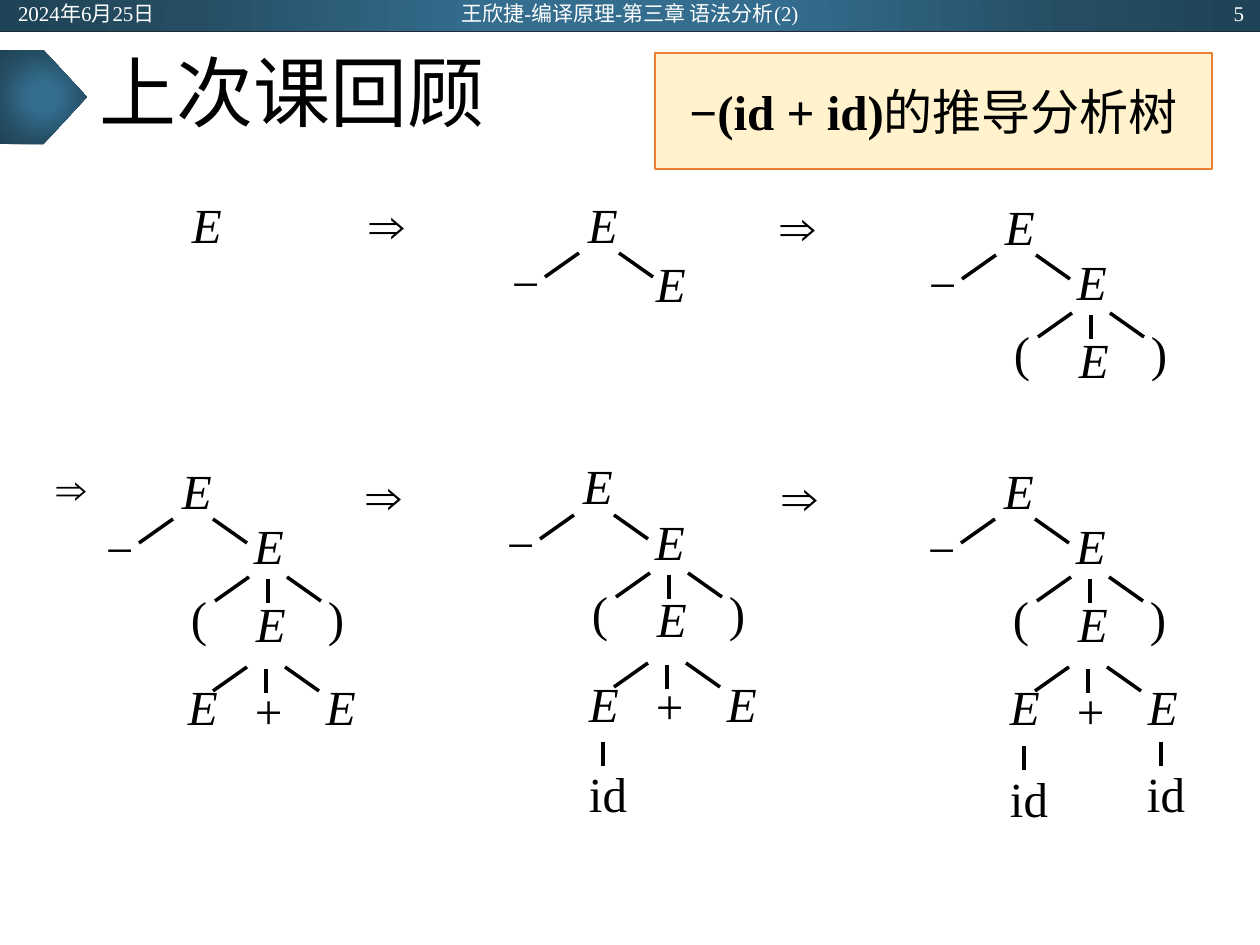
from pptx import Presentation
from pptx.dml.color import RGBColor as Rgb
from pptx.enum.shapes import MSO_CONNECTOR as Link, MSO_SHAPE as Form
from pptx.enum.text import MSO_ANCHOR as Anchor, PP_ALIGN as Align
from pptx.oxml import parse_xml
from pptx.oxml.ns import nsdecls
from pptx.util import Pt

SCALE = 914400 / 126
HUES = {"ink": "000000", "paper": "FFFFFF", "rule": "222A35",
        "cream": "FFF2CC", "orange": "ED7D31"}
BLUES = {0: "346D8E", 23: "346D8E", 69: "254E64", 97: "204457"}
FONT = "Times New Roman"


def px(num):
    return round(num * SCALE)


def put(item, **vals):
    for key, val in vals.items():
        setattr(item, key, val)


class Board:
    def __init__(self, deck):
        self.slide = deck.slides.add_slide(deck.slide_layouts[6])
        self.items = self.slide.shapes

    def label(self, shape, runs, size=28, hue="ink", align=Align.LEFT,
              anchor=Anchor.MIDDLE, pad=(13, 6), wrap=True, space=None):
        """Fill a shape with one paragraph of (text, font values) runs."""
        side, edge = (px(num) for num in pad)
        frame = shape.text_frame
        put(frame, word_wrap=wrap, vertical_anchor=anchor, margin_left=side,
            margin_right=side, margin_top=edge, margin_bottom=edge)
        para = frame.paragraphs[0]
        put(para, alignment=align, line_spacing=space)
        for words, looks in runs:
            run = para.add_run()
            run.text = words
            put(run.font, name=FONT, size=Pt(size), **looks)
            run.font.color.rgb = Rgb.from_string(HUES[hue])

    def text(self, box, words, **form):
        shape = self.items.add_textbox(*map(px, box))
        self.label(shape, [(words, {})], **form)

    def sign(self, x, y, mark, size=28):
        shape = self.items.add_textbox(*map(px, (x, y, 50, 67)))
        self.label(shape, [(mark, {"italic": mark == "E"})], size=size,
                   align=Align.JUSTIFY, anchor=Anchor.TOP, pad=(2, 1))

    def line(self, x1, y1, x2, y2, hue="ink", width=2):
        link = self.items.add_connector(Link.STRAIGHT, *map(px, (x1, y1, x2, y2)))
        link.line.width = Pt(width)
        link.line.color.rgb = Rgb.from_string(HUES[hue])
        link._element.spPr.append(parse_xml(f"<a:effectLst {nsdecls('a')}/>"))

    def shape(self, form, box):
        shape = self.items.add_shape(form, *map(px, box))
        shape.shadow.inherit = False
        return shape

    def glow(self, form, box):
        """A shape with a round gradient from its centre."""
        shape = self.shape(form, box)
        shape.line.fill.background()
        stops = "".join(f'<a:gs pos="{pos * 1000}"><a:srgbClr val="{hue}"/></a:gs>'
                        for pos, hue in BLUES.items())
        shape._element.spPr.insert(2, parse_xml(
            f'<a:gradFill {nsdecls("a")} rotWithShape="1"><a:gsLst>{stops}</a:gsLst>'
            '<a:path path="circle"><a:fillToRect l="50000" t="50000" '
            'r="50000" b="50000"/></a:path></a:gradFill>'))

    def panel(self, box, runs):
        shape = self.shape(Form.RECTANGLE, box)
        shape.fill.solid()
        shape.fill.fore_color.rgb = Rgb.from_string(HUES["cream"])
        shape.line.color.rgb = Rgb.from_string(HUES["orange"])
        shape.line.width = Pt(1)
        self.label(shape, runs, align=Align.CENTER, pad=(8, 4), wrap=False)

    def fork(self, x, y, gap, stem=True):
        """Two slanted branches about x, with a short stem between."""
        for side in (-1, 1):
            self.line(x + side * gap, y, x + side * (gap + 34), y + 24)
        if stem:
            self.stem(x, y + 2)

    def stem(self, x, y):
        self.line(x, y, x, y + 24)

    def tree(self, x, y, depth, leaves=(), child=(72, 55)):
        """Draw depth levels below the root, then stems down to the ids."""
        levels = [
            ((13, 60, 20, False), [(-76, 58, "−"), (*child, "E")]),
            ((88, 118, 19), [(9, 127, "("), (146, 127, ")"), (74, 133, "E")]),
            ((86, 208, 19), [(6, 217, "E"), (144, 217, "E"), (73, 220, "+")]),
        ]
        self.sign(x, y, "E")
        for (dx, dy, *rest), signs in levels[:depth]:
            self.fork(x + dx, y + dy, *rest)
            for sx, sy, mark in signs:
                self.sign(x + sx, y + sy, mark)
        for dx, dy in leaves:
            self.stem(x + dx, y + dy)
            self.sign(x + dx - 16, y + dy + 21, "id")


def main():
    deck = Presentation()
    put(deck, slide_width=px(1260), slide_height=px(945))
    board = Board(deck)

    # Top band, marker and title
    board.glow(Form.RECTANGLE, (0, 0, 1260, 31))
    board.line(0, 31, 1260, 31, "rule", 0.5)
    board.glow(Form.PENTAGON, (0, 50, 87, 94))
    board.text((87, 31, 1086, 131), "上次课回顾", size=44, space=0.9)

    # Derivation arrows
    for x, y, size in [(368, 193, 28), (779, 195, 28), (55, 461, 24),
                       (365, 464, 28), (781, 465, 28)]:
        board.sign(x, y, "⇒", size)

    # Parse trees, step by step
    left, right = (22, 287), (159, 283)
    board.tree(190, 193, 0)
    board.tree(586, 193, 1, child=(68, 60))
    board.tree(1003, 195, 2)
    board.tree(180, 459, 3)
    board.tree(581, 455, 3, [left])
    board.tree(1002, 459, 3, [left, right])

    # Topic panel
    board.panel((655, 53, 557, 116), [("−(id + id)", {"bold": True}),
                                      ("的推导分析树", {"bold": False})])

    # Date, course and page number
    for x, width, words, align in [
            (5, 284, "2024年6月25日", Align.LEFT),
            (417, 426, "王欣捷-编译原理-第三章 语法分析(2)", Align.CENTER),
            (973, 284, "5", Align.RIGHT)]:
        board.text((x, 1, width, 25), words, size=12, hue="paper", align=align)

    deck.save("out.pptx")


if __name__ == "__main__":
    main()
